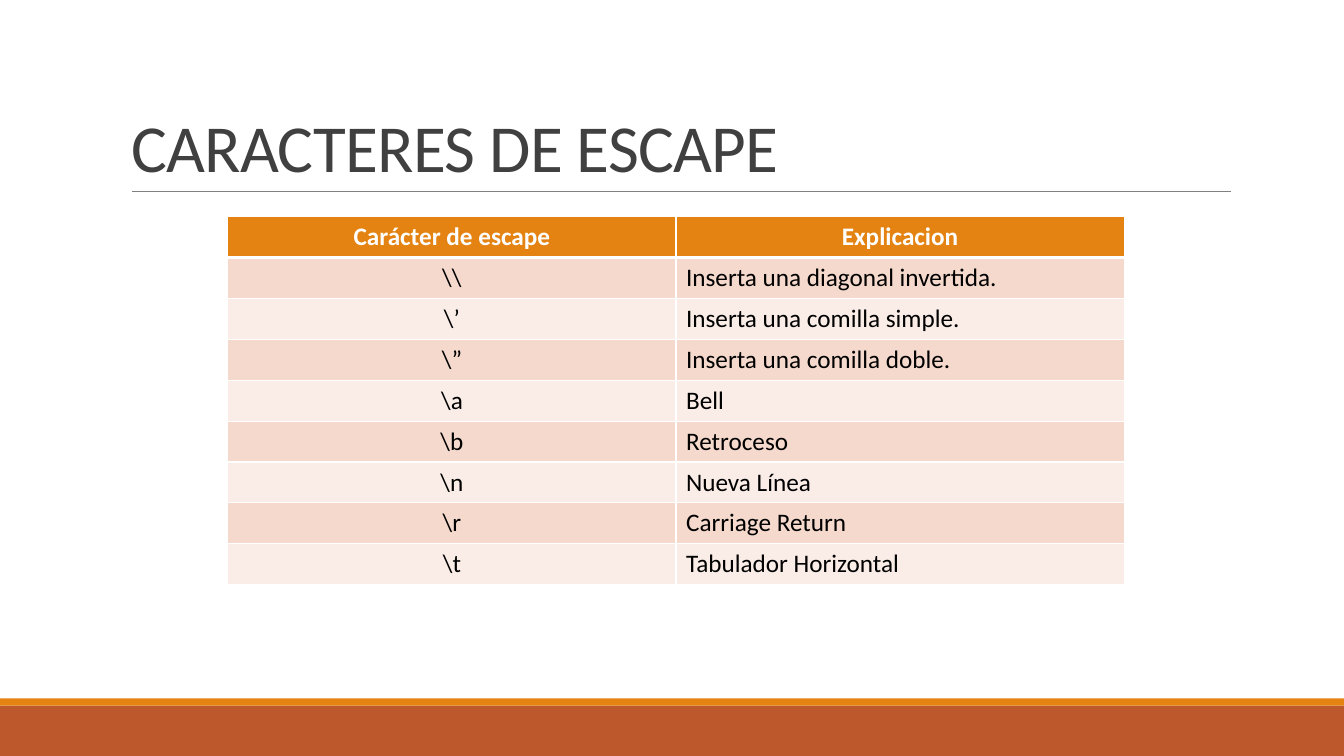
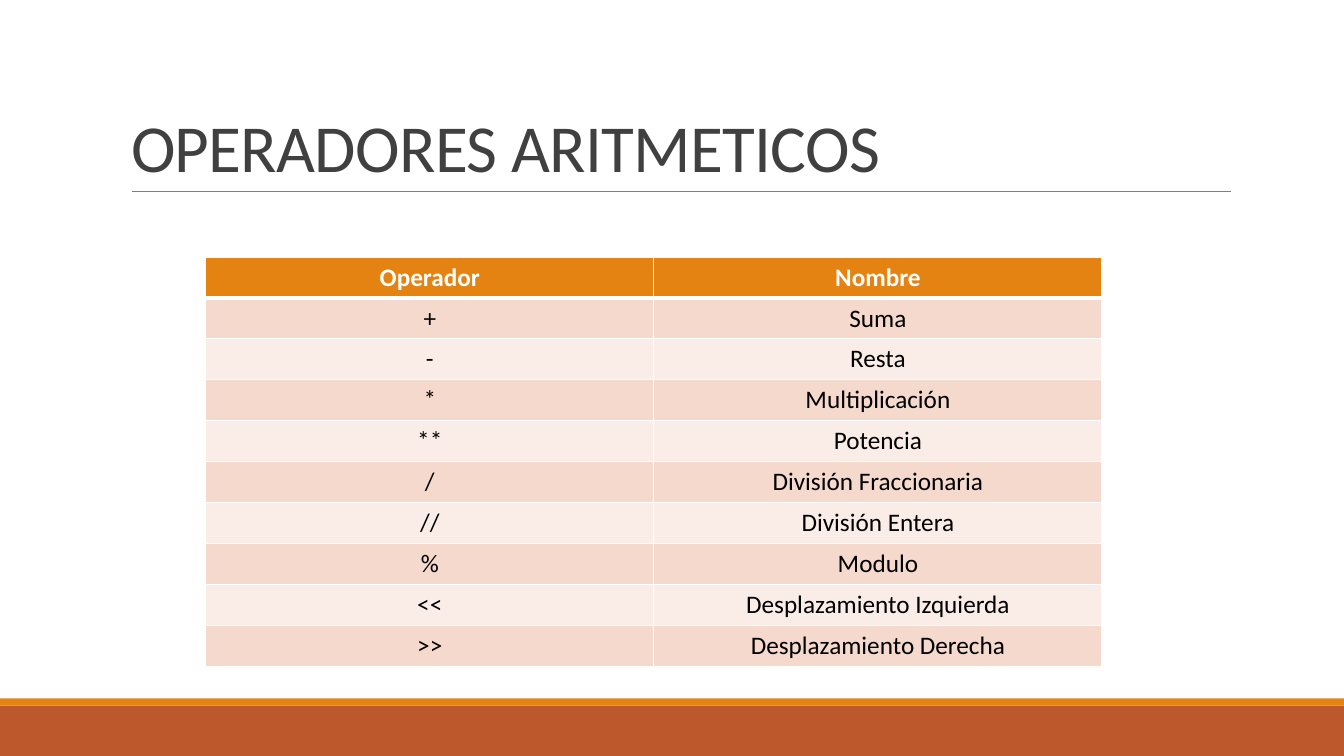
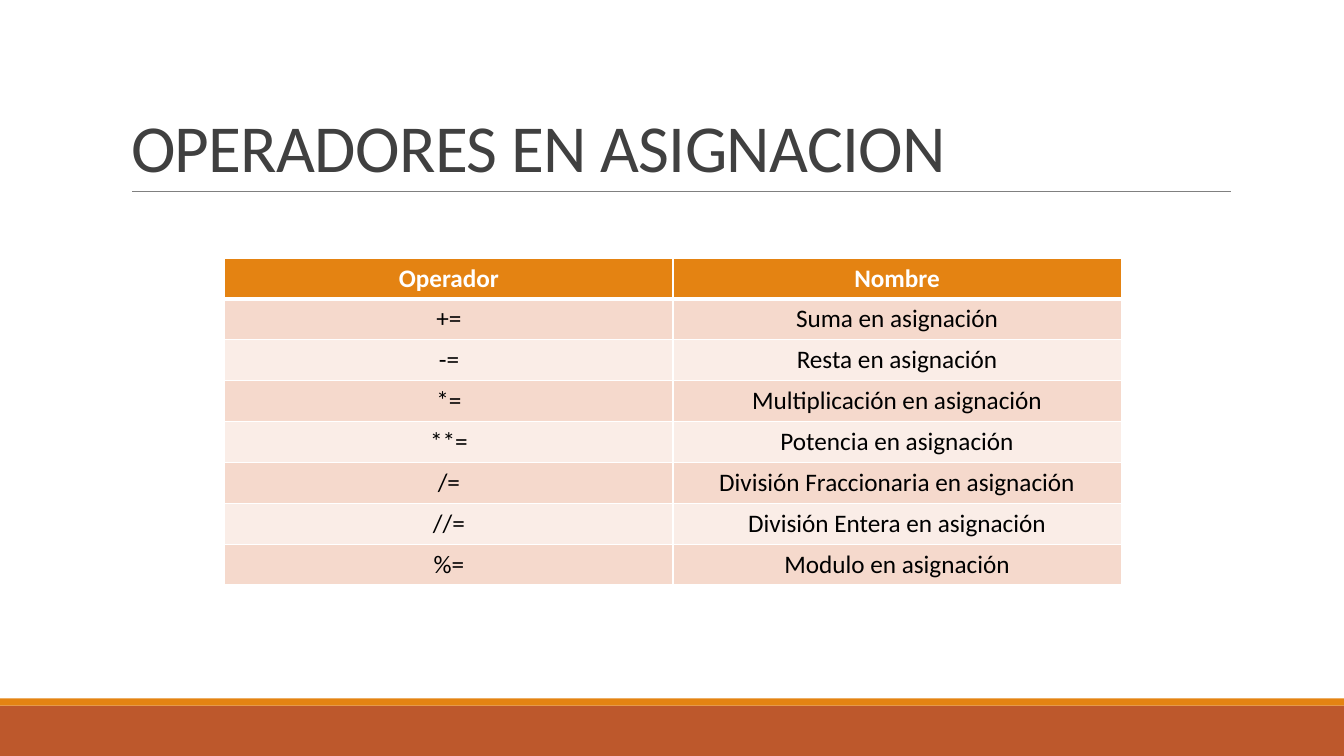
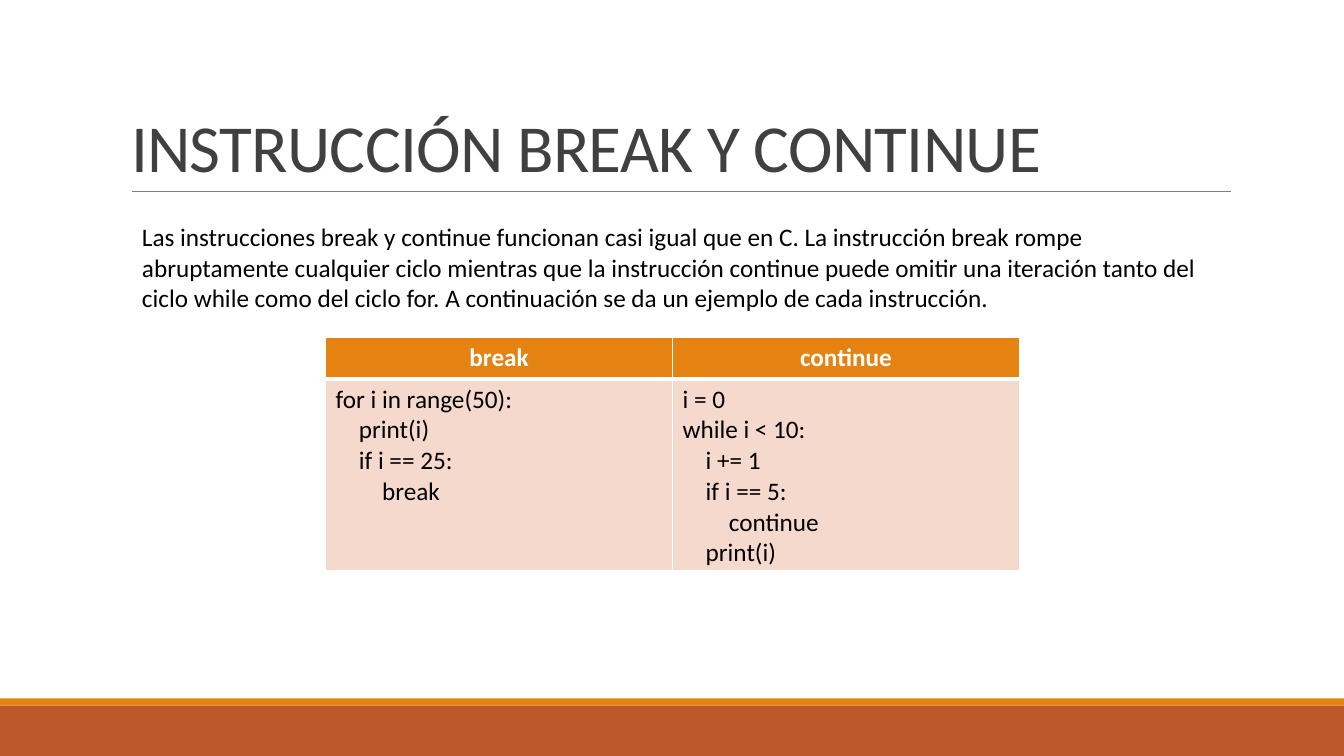
"""Build four slides of programming reference tables."""
from dataclasses import dataclass

from lxml import etree
from pptx import Presentation
from pptx.dml.color import RGBColor
from pptx.enum import shapes, text
from pptx.oxml import ns
from pptx.slide import Slide
from pptx.table import _Cell as Cell
from pptx.text.text import _Paragraph as Paragraph
from pptx.util import Inches, Pt

FONT = "Calibri"
WHITE = RGBColor(0xFF, 0xFF, 0xFF)
BLACK = RGBColor(0x00, 0x00, 0x00)
TITLE_GRAY = RGBColor(0x40, 0x40, 0x40)
RULE_GRAY = RGBColor(0x80, 0x80, 0x80)
RUST = RGBColor(0xBD, 0x58, 0x2C)
ORANGE = RGBColor(0xE4, 0x83, 0x12)
ROW_TINTS = (RGBColor(0xF5, 0xD9, 0xCC), RGBColor(0xFA, 0xED, 0xE7))

SLIDE_WIDTH = 13.33
SLIDE_HEIGHT = 7.5
CODE_INDENT = 0.23
CODE_STEP = 4
CENTER = text.PP_ALIGN.CENTER
LEFT = text.PP_ALIGN.LEFT


@dataclass(frozen=True)
class Band:
    """A full-width stripe at the foot of every slide."""
    top: float
    height: float
    color: RGBColor


@dataclass(frozen=True)
class Grid:
    """A two-column table with a header row."""
    left: float
    top: float
    width: float
    height: float
    rows: tuple[tuple[str, str], ...]
    aligns: tuple[text.PP_ALIGN, text.PP_ALIGN] = (CENTER, CENTER)
    header_height: float | None = None


@dataclass(frozen=True)
class Topic:
    """The content of one slide."""
    title: str
    grid: Grid
    intro: str = ""


BANDS = (Band(7, 0.5, RUST), Band(6.93, 0.07, ORANGE))

BREAK_CODE = """for i in range(50):
    print(i)
    if i == 25:
        break"""
CONTINUE_CODE = """i = 0
while i < 10:
    i += 1
    if i == 5:
        continue
    print(i)"""

TOPICS = (
    Topic("CARACTERES DE ESCAPE", Grid(2.26, 2.15, 8.89, 3.65, (
        ("Carácter de escape", "Explicacion"),
        (r"\\", "Inserta una diagonal invertida."),
        (r"\’", "Inserta una comilla simple."),
        (r"\”", "Inserta una comilla doble."),
        (r"\a", "Bell"),
        (r"\b", "Retroceso"),
        (r"\n", "Nueva Línea"),
        (r"\r", "Carriage Return"),
        (r"\t", "Tabulador Horizontal"),
    ), aligns=(CENTER, LEFT))),
    Topic("OPERADORES ARITMETICOS", Grid(2.04, 2.55, 8.89, 4.06, (
        ("Operador", "Nombre"),
        ("+", "Suma"),
        ("-", "Resta"),
        ("*", "Multiplicación"),
        ("**", "Potencia"),
        ("/", "División Fraccionaria"),
        ("//", "División Entera"),
        ("%", "Modulo"),
        ("<<", "Desplazamiento Izquierda"),
        (">>", "Desplazamiento Derecha"),
    ))),
    Topic("OPERADORES EN ASIGNACION", Grid(2.23, 2.56, 8.89, 3.24, (
        ("Operador", "Nombre"),
        ("+=", "Suma en asignación"),
        ("-=", "Resta en asignación"),
        ("*=", "Multiplicación en asignación"),
        ("**=", "Potencia en asignación"),
        ("/=", "División Fraccionaria en asignación"),
        ("//=", "División Entera en asignación"),
        ("%=", "Modulo en asignación"),
    ))),
    Topic("INSTRUCCIÓN BREAK Y CONTINUE", Grid(3.23, 3.35, 6.88, 2.3, (
        ("break", "continue"),
        (BREAK_CODE, CONTINUE_CODE),
    ), aligns=(LEFT, LEFT), header_height=0.41),
        intro="Las instrucciones break y continue funcionan casi igual que en C. "
              "La instrucción break rompe abruptamente cualquier ciclo mientras que "
              "la instrucción continue puede omitir una iteración tanto del ciclo "
              "while como del ciclo for. A continuación se da un ejemplo de cada "
              "instrucción."),
)


def write(para: Paragraph, words: str, *, size: float = 18, color: RGBColor = BLACK,
          bold: bool = False, align: text.PP_ALIGN = LEFT, spacing: float = 0) -> None:
    """Write one formatted run into a paragraph."""
    para.alignment = align
    span = para.add_run()
    span.text = words
    span.font.name = FONT
    span.font.size = Pt(size)
    span.font.bold = bold
    span.font.color.rgb = color
    if spacing:
        span._r.get_or_add_rPr().set("spc", str(round(spacing * 100)))


def add_bands(page: Slide) -> None:
    """Draw the footer bands and the rule under the title."""
    for band in BANDS:
        box = page.shapes.add_shape(shapes.MSO_SHAPE.RECTANGLE, 0, Inches(band.top),
                                    Inches(SLIDE_WIDTH), Inches(band.height))
        box.shadow.inherit = False
        box.fill.solid()
        box.fill.fore_color.rgb = band.color
        box.line.fill.background()
    rule = page.shapes.add_connector(shapes.MSO_CONNECTOR.STRAIGHT, Inches(1.31),
                                     Inches(1.9), Inches(12.21), Inches(1.9))
    rule.line.color.rgb = RULE_GRAY
    rule.line.width = Pt(0.5)
    etree.SubElement(rule._element.spPr, ns.qn("a:effectLst"))


def set_title(page: Slide, words: str) -> None:
    """Place and format the title placeholder."""
    box = page.shapes.title
    box.left, box.top = Inches(1.2), Inches(0.31)
    box.width, box.height = Inches(11), Inches(1.59)
    frame = box.text_frame
    frame.vertical_anchor = text.MSO_ANCHOR.BOTTOM
    frame.auto_size = text.MSO_AUTO_SIZE.NONE
    para = frame.paragraphs[0]
    para.line_spacing = 0.85
    write(para, words, size=48, color=TITLE_GRAY, spacing=-0.5)


def add_intro(page: Slide, words: str) -> None:
    """Add the paragraph above the table."""
    box = page.shapes.add_textbox(Inches(1.31), Inches(2.15), Inches(10.89), Inches(1.01))
    box.text_frame.word_wrap = True
    write(box.text_frame.paragraphs[0], words)


def set_borders(cell: Cell, row: int) -> None:
    """Give a cell white borders, thicker between header and body."""
    props = cell._tc.get_or_add_tcPr()
    thick_side = {0: "B", 1: "T"}.get(row)
    for side in "LRTB":
        width = Pt(3 if side == thick_side else 1)
        line = etree.SubElement(props, ns.qn(f"a:ln{side}"), w=str(width))
        fill = etree.SubElement(line, ns.qn("a:solidFill"))
        etree.SubElement(fill, ns.qn("a:srgbClr"), val=str(WHITE))


def fill_cell(cell: Cell, words: str, row: int, align: text.PP_ALIGN) -> None:
    """Format a cell and turn leading spaces into indents."""
    header = row == 0
    set_borders(cell, row)
    cell.fill.solid()
    cell.fill.fore_color.rgb = ORANGE if header else ROW_TINTS[(row - 1) % 2]
    frame = cell.text_frame
    for index, line in enumerate(words.split("\n")):
        para = frame.add_paragraph() if index else frame.paragraphs[0]
        code = line.lstrip()
        level = (len(line) - len(code)) // CODE_STEP
        if level:
            para._p.get_or_add_pPr().set("marL", str(Inches(CODE_INDENT * level)))
        write(para, code, color=WHITE if header else BLACK, bold=header,
              align=CENTER if header else align)


def add_grid(page: Slide, grid: Grid) -> None:
    """Add a table whose columns and body rows are equal."""
    count = len(grid.rows)
    table = page.shapes.add_table(count, 2, Inches(grid.left), Inches(grid.top),
                                  Inches(grid.width), Inches(grid.height)).table
    header_height = grid.header_height or grid.height / count
    body_height = (grid.height - header_height) / (count - 1)
    for column in table.columns:
        column.width = Inches(grid.width / 2)
    for row, entries in enumerate(grid.rows):
        table.rows[row].height = Inches(body_height if row else header_height)
        for column, words in enumerate(entries):
            fill_cell(table.cell(row, column), words, row, grid.aligns[column])


def main() -> None:
    """Build and save the deck."""
    deck = Presentation()
    deck.slide_width = Inches(SLIDE_WIDTH)
    deck.slide_height = Inches(SLIDE_HEIGHT)
    title_only = deck.slide_layouts[5]
    for topic in TOPICS:
        page = deck.slides.add_slide(title_only)
        add_bands(page)
        set_title(page, topic.title)
        if topic.intro:
            add_intro(page, topic.intro)
        add_grid(page, topic.grid)
    deck.save("out.pptx")


if __name__ == "__main__":
    main()
